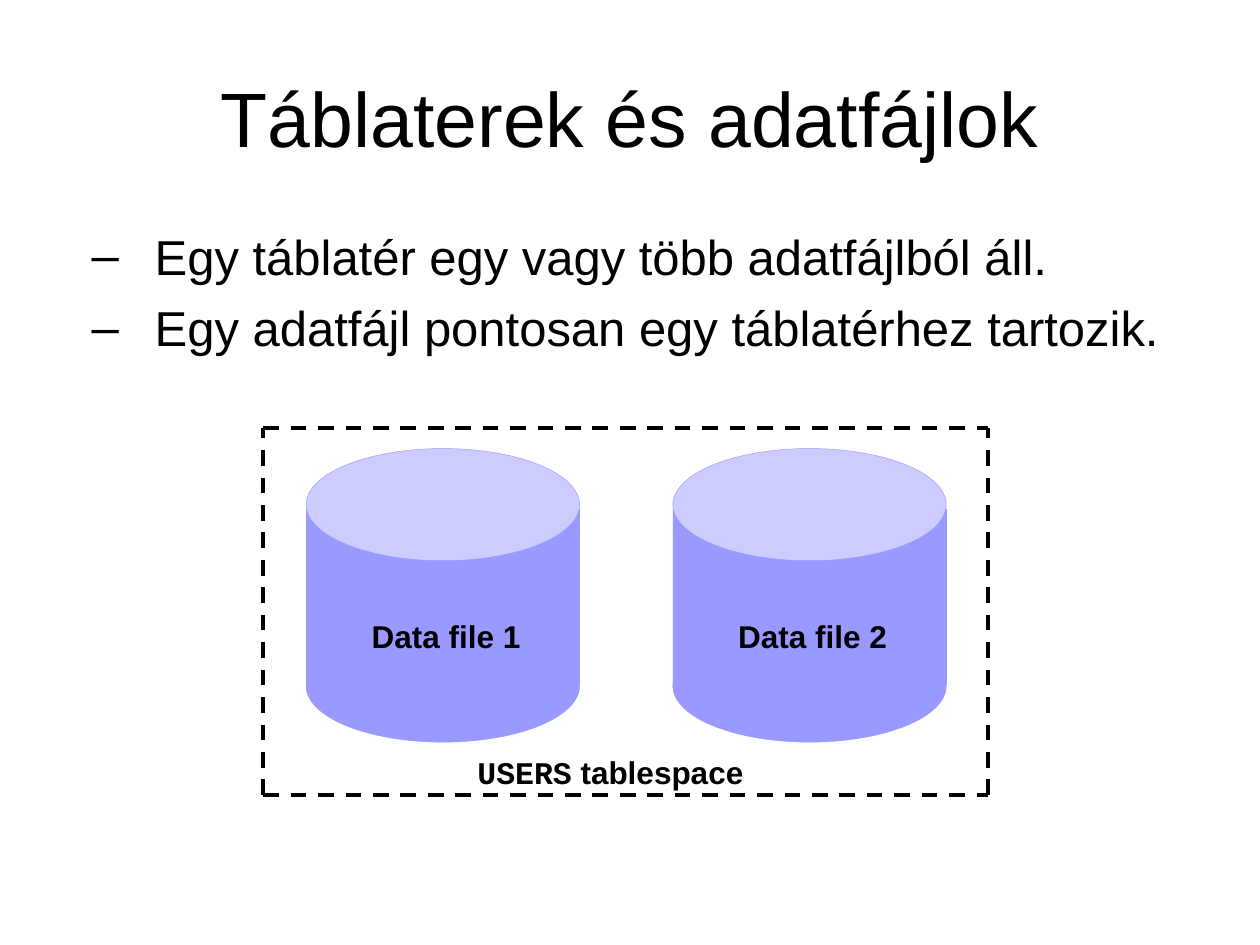
from lxml import etree
from pptx import Presentation
from pptx import util as u
from pptx.dml.color import RGBColor
from pptx.enum import dml, shapes, text
from pptx.oxml.ns import qn

Inches, Pt = u.Inches, u.Pt
COLORS = {"ink": "000000", "side": "9999FF", "lid": "CCCCFF"}
SANS, MONO = "Arial", "Courier New"
LABEL_FRAME = {
    "margin_left": Inches(0.06), "margin_right": Inches(0.06),
    "margin_top": Inches(0.03), "margin_bottom": Inches(0.03),
    "auto_size": text.MSO_AUTO_SIZE.SHAPE_TO_FIT_TEXT,
}
LABEL_PARAGRAPH = {"alignment": text.PP_ALIGN.CENTER, "line_spacing": 0.85}


def color(name):
    return RGBColor.from_string(COLORS[name])


def apply(target, formats):
    for name, value in formats.items():
        setattr(target, name, value)


def add_frame(slide, left, top, width, height, formats):
    box = slide.shapes.add_textbox(
        Inches(left), Inches(top), Inches(width), Inches(height))
    frame = box.text_frame
    apply(frame, {"word_wrap": True, **formats})
    return frame


def add_run(paragraph, words, size, font=SANS, bold=False):
    run = paragraph.add_run()
    run.text = words
    apply(run.font, {"size": Pt(size), "name": font, "bold": bold})
    run.font.color.rgb = color("ink")


def add_title(slide, left, top, width, height, words):
    frame = add_frame(slide, left, top, width, height,
                      {"vertical_anchor": text.MSO_ANCHOR.MIDDLE})
    heading = frame.paragraphs[0]
    heading.alignment = text.PP_ALIGN.CENTER
    add_run(heading, words, 44)


def add_bullets(slide, left, top, width, height, statements):
    frame = add_frame(slide, left, top, width, height, {})
    for index, statement in enumerate(statements):
        item = frame.add_paragraph() if index else frame.paragraphs[0]
        item.space_before = Pt(7)
        add_run(item, statement, 28)
        # Hanging dash
        properties = item._p.get_or_add_pPr()
        properties.set("marL", str(Inches(0.63)))
        properties.set("indent", str(Inches(-0.5)))
        etree.SubElement(properties, qn("a:buFont"), typeface=SANS)
        etree.SubElement(properties, qn("a:buChar"), char="–")


def add_label(slide, left, top, width, pieces):
    frame = add_frame(slide, left, top, width, 0.32, LABEL_FRAME)
    paragraph = frame.paragraphs[0]
    apply(paragraph, LABEL_PARAGRAPH)
    for words, font in pieces:
        add_run(paragraph, words, 18, font, True)


def add_data_file(slide, left, top, width, height, name):
    cap = 0.89
    kinds = shapes.MSO_SHAPE
    parts = [
        (kinds.RECTANGLE, 0.48, 1.39, "side"),
        (kinds.OVAL, 0, cap, "lid"),
        (kinds.OVAL, height - cap, cap, "side"),
    ]
    for kind, offset, part_height, fill in parts:
        part = slide.shapes.add_shape(
            kind, Inches(left), Inches(top + offset),
            Inches(width), Inches(part_height))
        part.shadow.inherit = False
        part.fill.solid()
        part.fill.fore_color.rgb = color(fill)
        part.line.color.rgb = color("side")
        part.line.width = Pt(0.25)
    add_label(slide, left + 0.31, top + 1.35, 1.6, [(name, SANS)])


def add_dashed_border(slide, left, top, width, height):
    right, bottom = left + width, top + height
    edges = [
        (left, bottom, right, bottom), (left, top, right, top),
        (left, bottom, left, top), (right, bottom, right, top),
    ]
    for edge in edges:
        line = slide.shapes.add_connector(
            shapes.MSO_CONNECTOR.STRAIGHT, *map(Inches, edge))
        line.line.color.rgb = color("ink")
        apply(line.line, {"width": Pt(2.25),
                          "dash_style": dml.MSO_LINE.DASH})
        etree.SubElement(line._element.spPr, qn("a:effectLst"))


def add_tablespace(slide, left, top, width, height):
    for index in range(2):
        add_data_file(slide, left + 0.34 + index * 2.91, top + 0.16,
                      2.17, 2.33, f"Data file {index + 1}")
    add_dashed_border(slide, left, top, width, height)
    add_label(slide, left + 1.34, top + height - 0.32, 2.83,
              [("USERS", MONO), (" tablespace", SANS)])


def main():
    deck = Presentation()
    deck.slide_width, deck.slide_height = Inches(10), Inches(7.5)
    slide = deck.slides.add_slide(deck.slide_layouts[6])
    add_title(slide, 0.5, 0.3, 9, 1.25, "Táblaterek és adatfájlok")
    add_bullets(slide, 0.5, 1.75, 9, 2.03, [
        "Egy táblatér egy vagy több adatfájlból áll.",
        "Egy adatfájl pontosan egy táblatérhez tartozik.",
    ])
    add_tablespace(slide, 2.09, 3.4, 5.75, 2.91)
    deck.save("out.pptx")


if __name__ == "__main__":
    main()
